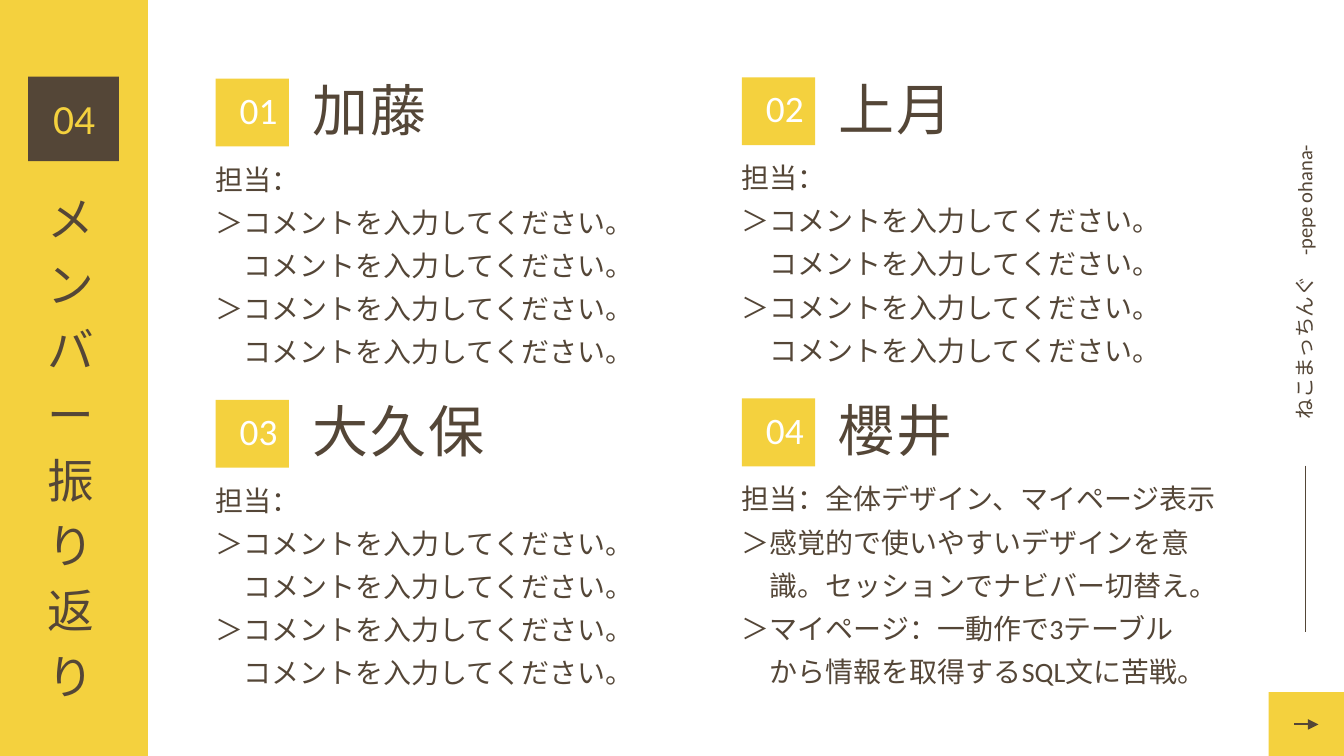
from lxml.etree import SubElement
from pptx import Presentation
from pptx.dml.color import RGBColor
from pptx.enum.shapes import MSO_CONNECTOR, MSO_SHAPE
from pptx.enum.text import MSO_ANCHOR, MSO_AUTO_SIZE, PP_ALIGN
from pptx.oxml.ns import qn
from pptx.util import Inches, Pt

YELLOW = RGBColor(0xF4, 0xD1, 0x3E)
BROWN = RGBColor(0x54, 0x46, 0x37)
WHITE = RGBColor(0xFF, 0xFF, 0xFF)
FONT = "Calibri"

PLACEHOLDER_COMMENT = [
    "担当：",
    "＞コメントを入力してください。",
    "　コメントを入力してください。",
    "＞コメントを入力してください。",
    "　コメントを入力してください。",
]
MEMBERS = [
    ("加藤", PLACEHOLDER_COMMENT),
    ("上月", PLACEHOLDER_COMMENT),
    ("大久保", PLACEHOLDER_COMMENT),
    ("櫻井", [
        "担当：全体デザイン、マイページ表示",
        "＞感覚的で使いやすいデザインを意",
        "　識。セッションでナビバー切替え。",
        "＞マイページ：一動作で3テーブル",
        "　から情報を取得するSQL文に苦戦。",
    ]),
]


def fill_text(shape, lines, size, color, line_height, align, tracking=0):
    """Write the lines as paragraphs and give them one format."""
    frame = shape.text_frame
    frame.word_wrap = True
    frame.auto_size = MSO_AUTO_SIZE.NONE
    frame.vertical_anchor = MSO_ANCHOR.TOP
    frame.margin_left = frame.margin_right = 0
    frame.margin_top = frame.margin_bottom = 0
    frame.text = "\n".join(lines)
    for paragraph in frame.paragraphs:
        paragraph.alignment = align
        paragraph.line_spacing = Pt(line_height)
        paragraph.space_before = Pt(0)
        for run in paragraph.runs:
            run.font.name = FONT
            run.font.size = Pt(size)
            run.font.color.rgb = color
            if tracking:
                run.font._element.set("spc", str(round(tracking * 100)))


def add_text(slide, left, top, width, height, lines, *text_format):
    box = slide.shapes.add_textbox(
        Inches(left), Inches(top), Inches(width), Inches(height))
    fill_text(box, lines, *text_format)
    return box


def add_block(slide, left, top, width, height, color):
    block = slide.shapes.add_shape(
        MSO_SHAPE.RECTANGLE,
        Inches(left), Inches(top), Inches(width), Inches(height))
    block.shadow.inherit = False
    block.fill.solid()
    block.fill.fore_color.rgb = color
    block.line.fill.background()


def add_line(slide, x1, y1, x2, y2, weight, arrow=False):
    line = slide.shapes.add_connector(
        MSO_CONNECTOR.STRAIGHT, Inches(x1), Inches(y1), Inches(x2), Inches(y2))
    line.line.color.rgb = BROWN
    line.line.width = Pt(weight)
    if arrow:
        SubElement(line.line._get_or_add_ln(), qn("a:tailEnd"),
                   type="triangle", w="lg", len="lg")
    SubElement(line._element.spPr, qn("a:effectLst"))


def add_title(slide, text):
    """Stack the title one character per line in the side bar."""
    title = slide.shapes.title
    title.left, title.top = Inches(0.71), Inches(2.69)
    title.width, title.height = Inches(0.83), Inches(7.62)
    fill_text(title, [text], 50, BROWN, 70, PP_ALIGN.JUSTIFY, 2)
    # Bring the title in front of the bar
    slide.shapes._spTree.append(title._element)


def add_member(slide, left, top, number, name, comments):
    add_text(slide, left + 1.44, top - 0.21, 3.95, 1.19, [name],
             60, BROWN, 84, PP_ALIGN.JUSTIFY, 2.4)
    add_block(slide, left, top, 1.09, 1.01, YELLOW)
    add_text(slide, left + 0.18, top + 0.15, 0.74, 0.68, [f"{number:02}"],
             40, WHITE, 46, PP_ALIGN.RIGHT)
    add_text(slide, left, top + 1.1, 7.21, 3.17, comments,
             30, BROWN, 46.2, PP_ALIGN.LEFT)


def main():
    presentation = Presentation()
    presentation.slide_width = Inches(20)
    presentation.slide_height = Inches(11.25)
    slide = presentation.slides.add_slide(presentation.slide_layouts[5])

    # Right edge: product name, rule and arrow
    name = add_text(slide, 16.89, 3.51, 5.09, 0.36,
                    ["ねこまっちんぐ　-pepe ohana-"],
                    22, BROWN, 24.2, PP_ALIGN.JUSTIFY)
    name.rotation = 270
    add_line(slide, 19.43, 6.93, 19.43, 9.41, 1.25)
    add_block(slide, 18.88, 10.3, 1.12, 0.95, YELLOW)
    add_line(slide, 19.26, 10.78, 19.62, 10.78, 2.25, arrow=True)

    # Left bar: section number and title
    add_block(slide, 0, 0, 2.2, 11.25, YELLOW)
    add_block(slide, 0.42, 1.14, 1.35, 1.26, BROWN)
    add_text(slide, 0.61, 1.51, 0.99, 0.7, ["04"],
             44.5, YELLOW, 44.5, PP_ALIGN.CENTER)
    add_title(slide, "メンバー振り返り")

    # Members in a two-by-two grid, the right column slightly higher
    for index, (member, comments) in enumerate(MEMBERS):
        row, column = divmod(index, 2)
        add_member(slide, 3.21 + 7.83 * column, 1.17 + 4.78 * row - 0.02 * column,
                   index + 1, member, comments)

    presentation.save("out.pptx")


if __name__ == "__main__":
    main()
